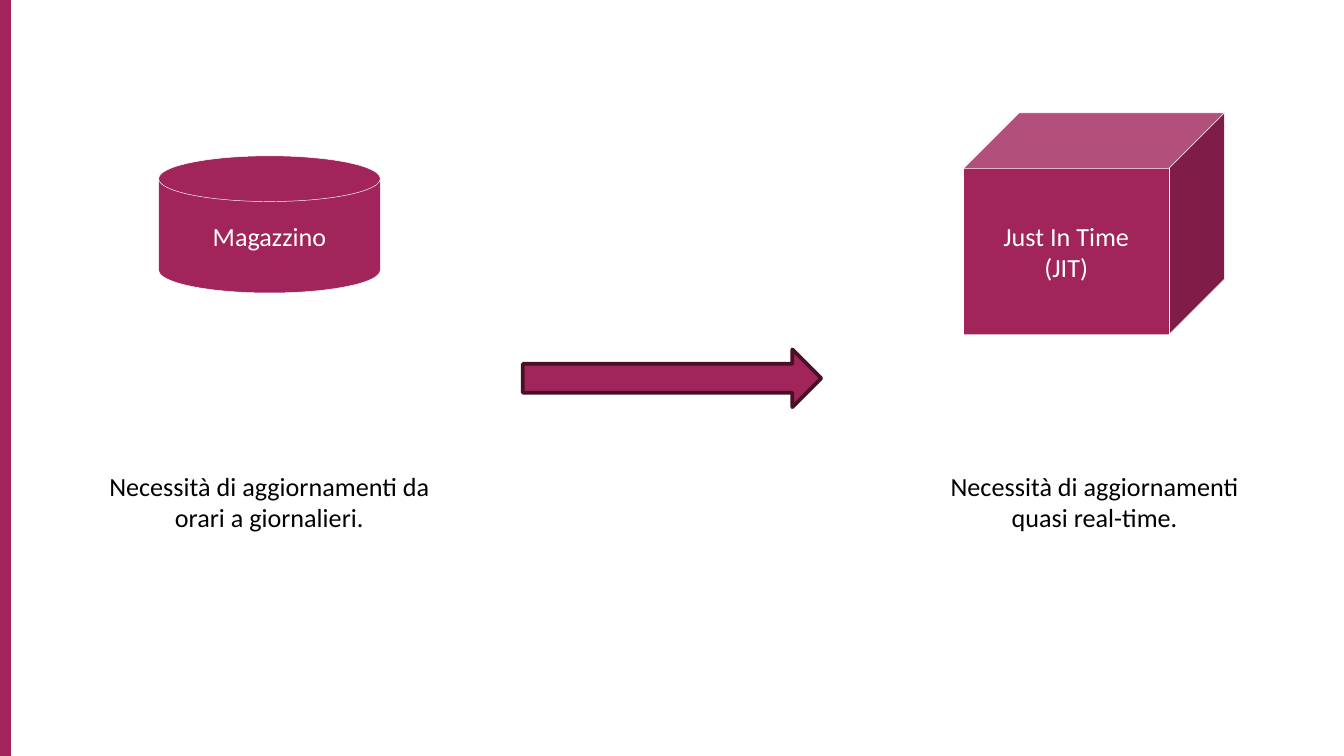
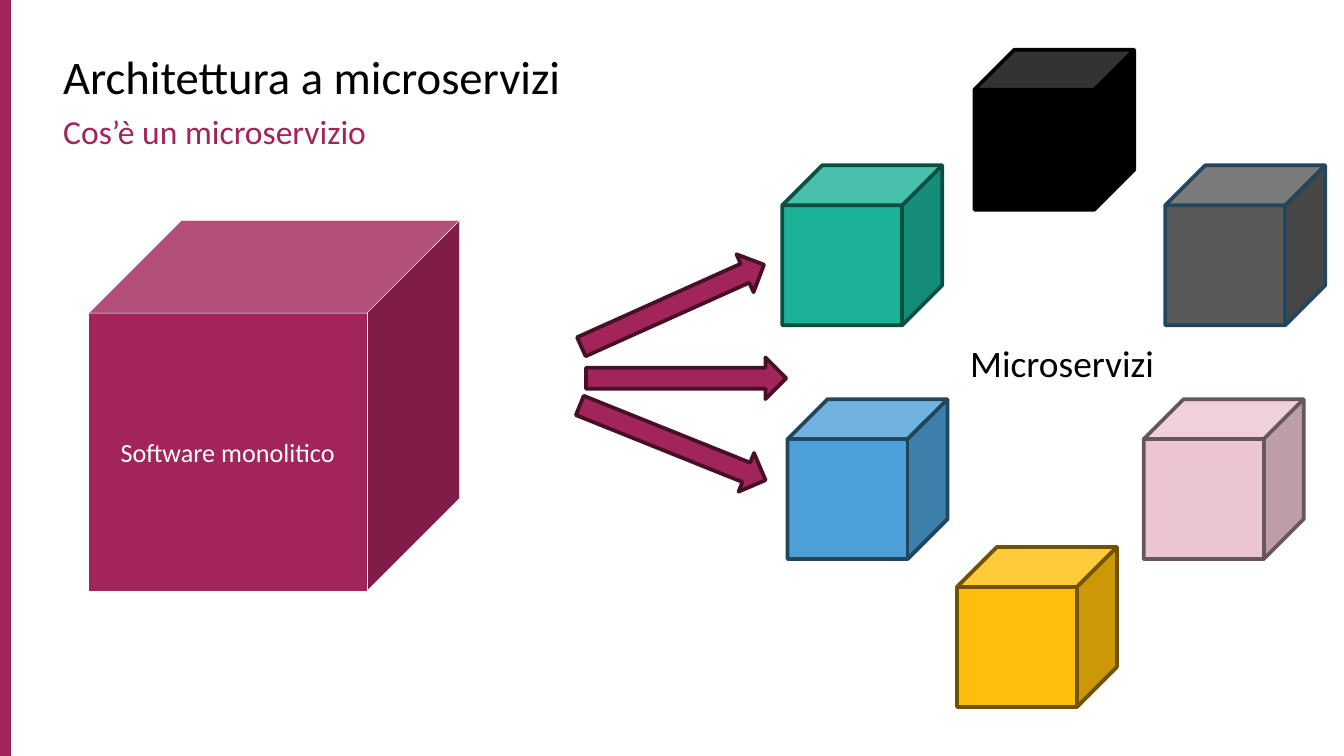
from dataclasses import dataclass

import pptx
import pptx.presentation
import pptx.shapes.base
import pptx.slide
import pptx.text.text
import pptx.util
from pptx.dml.color import RGBColor
from pptx.enum.shapes import MSO_SHAPE
from pptx.enum.text import MSO_ANCHOR, MSO_AUTO_SIZE, PP_ALIGN
from pptx.util import Inches

FONT = "Calibri"
COLORS = {
    "accent": "A1245A",
    "accent_dark": "471027",
    "white": "FFFFFF",
    "black": "000000",
    "green": "1AB197",
    "green_dark": "0B4E42",
    "gray": "595959",
    "blue": "4DA0D7",
    "blue_dark": "22465E",
    "yellow": "FFBE0B",
    "yellow_dark": "705305",
    "pink": "ECC5D2",
    "pink_dark": "67565C",
}
SLIDE_WIDTH = 10
SLIDE_HEIGHT = SLIDE_WIDTH * 9 / 16
TITLE_LAYOUT, BLANK_LAYOUT = 0, 6
MICROSERVICE_SIZE = 1.19


@dataclass(frozen=True)
class Box:
    left: float
    top: float
    width: float
    height: float


@dataclass(frozen=True)
class Figure:
    """A filled preset shape with an optional centred label."""
    kind: MSO_SHAPE
    box: Box
    label: str = ""
    fill: str = "accent"
    line: str = "white"
    line_width: float = 0.25
    rotation: float = 0
    inset: float = 0.05


@dataclass(frozen=True)
class Caption:
    text: str
    box: Box
    size: int = 14
    alignment: PP_ALIGN = PP_ALIGN.CENTER


def color(name: str) -> RGBColor:
    return RGBColor.from_string(COLORS[name])


def place(shape: pptx.shapes.base.BaseShape, box: Box) -> None:
    shape.left, shape.top = Inches(box.left), Inches(box.top)
    shape.width, shape.height = Inches(box.width), Inches(box.height)


def write(frame: pptx.text.text.TextFrame, text: str, size: int, color_name: str,
          alignment: PP_ALIGN) -> None:
    frame.text = text
    frame.word_wrap = True
    for paragraph in frame.paragraphs:
        paragraph.alignment = alignment
        paragraph.space_before = pptx.util.Pt(0)
        for run in paragraph.runs:
            run.font.name = FONT
            run.font.size = pptx.util.Pt(size)
            run.font.color.rgb = color(color_name)


def set_insets(frame: pptx.text.text.TextFrame, vertical: float) -> None:
    frame.margin_left = frame.margin_right = Inches(0.1)
    frame.margin_top = frame.margin_bottom = Inches(vertical)
    frame.vertical_anchor = MSO_ANCHOR.MIDDLE


def draw_figure(slide: pptx.slide.Slide, figure: Figure) -> pptx.shapes.base.BaseShape:
    box = figure.box
    shape = slide.shapes.add_shape(figure.kind, Inches(box.left), Inches(box.top),
                                   Inches(box.width), Inches(box.height))
    shape.rotation = figure.rotation
    shape.shadow.inherit = False
    shape.fill.solid()
    shape.fill.fore_color.rgb = color(figure.fill)
    shape.line.color.rgb = color(figure.line)
    shape.line.width = pptx.util.Pt(figure.line_width)
    if figure.label:
        write(shape.text_frame, figure.label, 14, "white", PP_ALIGN.CENTER)
        set_insets(shape.text_frame, figure.inset)
    return shape


def draw_caption(slide: pptx.slide.Slide, caption: Caption) -> None:
    box = caption.box
    shape = slide.shapes.add_textbox(Inches(box.left), Inches(box.top),
                                     Inches(box.width), Inches(box.height))
    write(shape.text_frame, caption.text, caption.size, "black", caption.alignment)
    shape.text_frame.auto_size = MSO_AUTO_SIZE.SHAPE_TO_FIT_TEXT


def fill_heading(placeholder: pptx.shapes.base.BaseShape, text: str, box: Box,
                 size: int, color_name: str) -> None:
    place(placeholder, box)
    frame = placeholder.text_frame
    write(frame, text, size, color_name, PP_ALIGN.LEFT)
    set_insets(frame, 0.1)
    frame.auto_size = MSO_AUTO_SIZE.NONE


def arrow(box: Box, rotation: float = 0) -> Figure:
    return Figure(MSO_SHAPE.RIGHT_ARROW, box, line="accent_dark", line_width=2,
                  rotation=rotation)


def add_master_band(presentation: pptx.presentation.Presentation,
                    slide: pptx.slide.Slide) -> None:
    """Draw the left band and move it to the master, behind everything."""
    band = draw_figure(slide, Figure(MSO_SHAPE.RECTANGLE, Box(0, 0, 0.08, SLIDE_HEIGHT),
                                     line="accent", line_width=0.75))
    band.element.nvSpPr.cNvPr.set("id", "100")
    presentation.slide_master.element.cSld.spTree.insert(2, band.element)


def build_update_slide(slide: pptx.slide.Slide) -> None:
    # Warehouse on the left, just in time on the right
    draw_figure(slide, arrow(Box(3.89, 2.6, 2.22, 0.43)))
    draw_figure(slide, Figure(MSO_SHAPE.FLOWCHART_MAGNETIC_DISK,
                              Box(1.18, 1.16, 1.65, 1.02), "Magazzino", inset=0.1))
    draw_figure(slide, Figure(MSO_SHAPE.CUBE, Box(7.17, 0.84, 1.94, 1.65),
                              "Just In Time\n(JIT)"))
    # Update needs
    for left, text in ((0.67, "Necessità di aggiornamenti da orari a giornalieri."),
                       (6.81, "Necessità di aggiornamenti quasi real-time.")):
        draw_caption(slide, Caption(text, Box(left, 3.45, 2.67, 0.57)))


def build_microservice_slide(slide: pptx.slide.Slide) -> None:
    # Headings
    fill_heading(slide.shapes.title, "Architettura a microservizi",
                 Box(0.37, 0.32, 9.32, 0.49), 25, "black")
    fill_heading(slide.placeholders[1], "Cos’è un microservizio",
                 Box(0.37, 0.81, 9.32, 0.33), 18, "accent")

    # Monolith and the arrows that leave it
    draw_figure(slide, Figure(MSO_SHAPE.CUBE, Box(0.66, 1.64, 2.76, 2.76),
                              "Software monolitico"))
    for left, top, rotation in ((4.26, 2.12, 335.8), (4.36, 2.66, 0), (4.26, 3.14, 21.9)):
        draw_figure(slide, arrow(Box(left, top, 1.49, 0.31), rotation))

    # Ring of microservices
    for left, top, fill, line in (
        (5.82, 1.23, "green", "green_dark"),
        (8.67, 1.23, "gray", "blue_dark"),
        (5.86, 2.97, "blue", "blue_dark"),
        (7.12, 4.07, "yellow", "yellow_dark"),
        (8.51, 2.97, "pink", "pink_dark"),
        (7.25, 0.37, "black", "black"),
    ):
        box = Box(left, top, MICROSERVICE_SIZE, MICROSERVICE_SIZE)
        draw_figure(slide, Figure(MSO_SHAPE.CUBE, box, fill=fill, line=line, line_width=2))
    draw_caption(slide, Caption("Microservizi", Box(7.12, 2.48, 2.22, 0.44), 20,
                                PP_ALIGN.LEFT))


def main() -> None:
    presentation = pptx.Presentation()
    presentation.slide_width = Inches(SLIDE_WIDTH)
    presentation.slide_height = Inches(SLIDE_HEIGHT)
    layouts = presentation.slide_layouts

    update_slide = presentation.slides.add_slide(layouts[BLANK_LAYOUT])
    add_master_band(presentation, update_slide)
    build_update_slide(update_slide)
    build_microservice_slide(presentation.slides.add_slide(layouts[TITLE_LAYOUT]))

    presentation.save("out.pptx")


if __name__ == "__main__":
    main()
